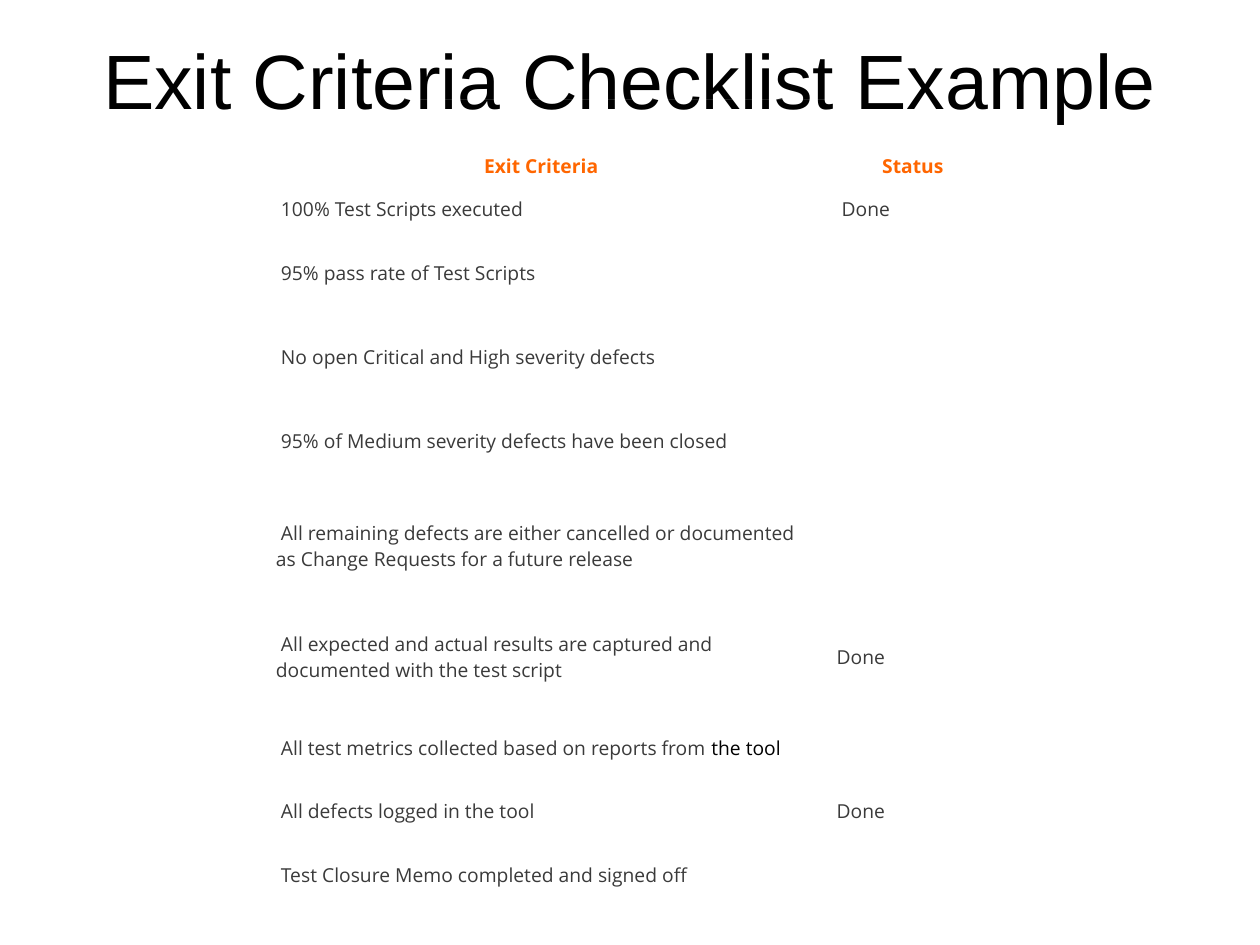
import pptx
import pptx.dml.color
import pptx.enum.shapes
import pptx.enum.text
import pptx.oxml.ns
import pptx.util
from lxml import etree

Inches = pptx.util.Inches
Align = pptx.enum.text.PP_ALIGN
MIDDLE = pptx.enum.text.MSO_ANCHOR.MIDDLE

COLORS = {"white": "FFFFFF", "black": "000000", "orange": "FF6600", "gray": "3A3A3A"}
COLUMN_WIDTHS = [4.41, 1.49]
TOOL = "the tool"
NBSP = "\u00a0"

# Row height, criterion, status
CHECKLIST = [
    (0.34, "100% Test Scripts executed", "Done"),
    (0.67, "95% pass rate of Test Scripts", ""),
    (0.67, "No open Critical and High severity defects", ""),
    (0.67, "95% of Medium severity defects have been closed", ""),
    (0.99, "All remaining defects are either cancelled or documented "
           "as Change Requests for a future release", ""),
    (0.77, "All expected and actual results are captured and "
           "documented with the test script", "Done"),
    (0.67, "All test metrics collected based on reports from" + NBSP, ""),
    (0.34, "All defects logged in " + TOOL, "Done"),
    (0.67, "Test Closure Memo completed and signed off", ""),
]
HEADER_HEIGHT = 0.34
METRICS_ROW = 7


def rgb(name):
    return pptx.dml.color.RGBColor.from_string(COLORS[name])


def add_span(para, text, size=11, font="Open Sans", color="gray", bold=False):
    span = para.add_run()
    span.text = text
    span.font.size = pptx.util.Pt(size)
    span.font.name = font
    span.font.bold = bold
    span.font.color.rgb = rgb(color)


def add_title(page, text):
    box = page.shapes.add_textbox(0, 0, Inches(10), Inches(1.25))
    frame = box.text_frame
    frame.word_wrap = True
    frame.vertical_anchor = MIDDLE
    para = frame.paragraphs[0]
    para.alignment = Align.CENTER
    add_span(para, text, size=44, font="Arial", color="black")


def add_hairline(page):
    strip = page.shapes.add_shape(
        pptx.enum.shapes.MSO_SHAPE.RECTANGLE,
        Inches(3.19), Inches(0.79), Inches(3.62), 0)
    strip.shadow.inherit = False
    strip.fill.solid()
    strip.fill.fore_color.rgb = rgb("white")
    strip.line.fill.background()


def clear_borders(cell):
    properties = cell._tc.get_or_add_tcPr()
    for index, side in enumerate(("a:lnL", "a:lnR", "a:lnT", "a:lnB")):
        border = etree.Element(pptx.oxml.ns.qn(side), w="0")
        etree.SubElement(border, pptx.oxml.ns.qn("a:noFill"))
        properties.insert(index, border)


def fill_cell(cell, text, align=Align.LEFT, **style):
    cell.fill.solid()
    cell.fill.fore_color.rgb = rgb("white")
    cell.vertical_anchor = MIDDLE
    clear_borders(cell)
    if text:
        para = cell.text_frame.paragraphs[0]
        para.alignment = align
        add_span(para, text, **style)


def add_checklist(page):
    heights = [HEADER_HEIGHT] + [height for height, _, _ in CHECKLIST]
    table = page.shapes.add_table(
        len(heights), len(COLUMN_WIDTHS), Inches(2.09), Inches(1.15),
        Inches(sum(COLUMN_WIDTHS)), Inches(sum(heights))).table
    for column, width in zip(table.columns, COLUMN_WIDTHS):
        column.width = Inches(width)
    for row, height in zip(table.rows, heights):
        row.height = Inches(height)

    # Header
    for index, heading in enumerate(("Exit Criteria", "Status")):
        fill_cell(table.cell(0, index), heading, Align.CENTER,
                  color="orange", bold=True)

    # Criteria and their status
    for row_index, (_, *texts) in enumerate(CHECKLIST, start=1):
        for index, text in enumerate(texts):
            fill_cell(table.cell(row_index, index), text and NBSP + text)

    # The first status sits slightly further in; the tool name is black
    table.cell(1, 1).margin_left = Inches(0.14)
    metrics = table.cell(METRICS_ROW, 0).text_frame.paragraphs[0]
    add_span(metrics, TOOL, color="black")


def main():
    deck = pptx.Presentation()
    deck.slide_width = Inches(10)
    deck.slide_height = Inches(7.5)
    page = deck.slides.add_slide(deck.slide_layouts[6])
    add_title(page, "Exit Criteria Checklist Example")
    add_hairline(page)
    add_checklist(page)
    deck.save("out.pptx")


main()
